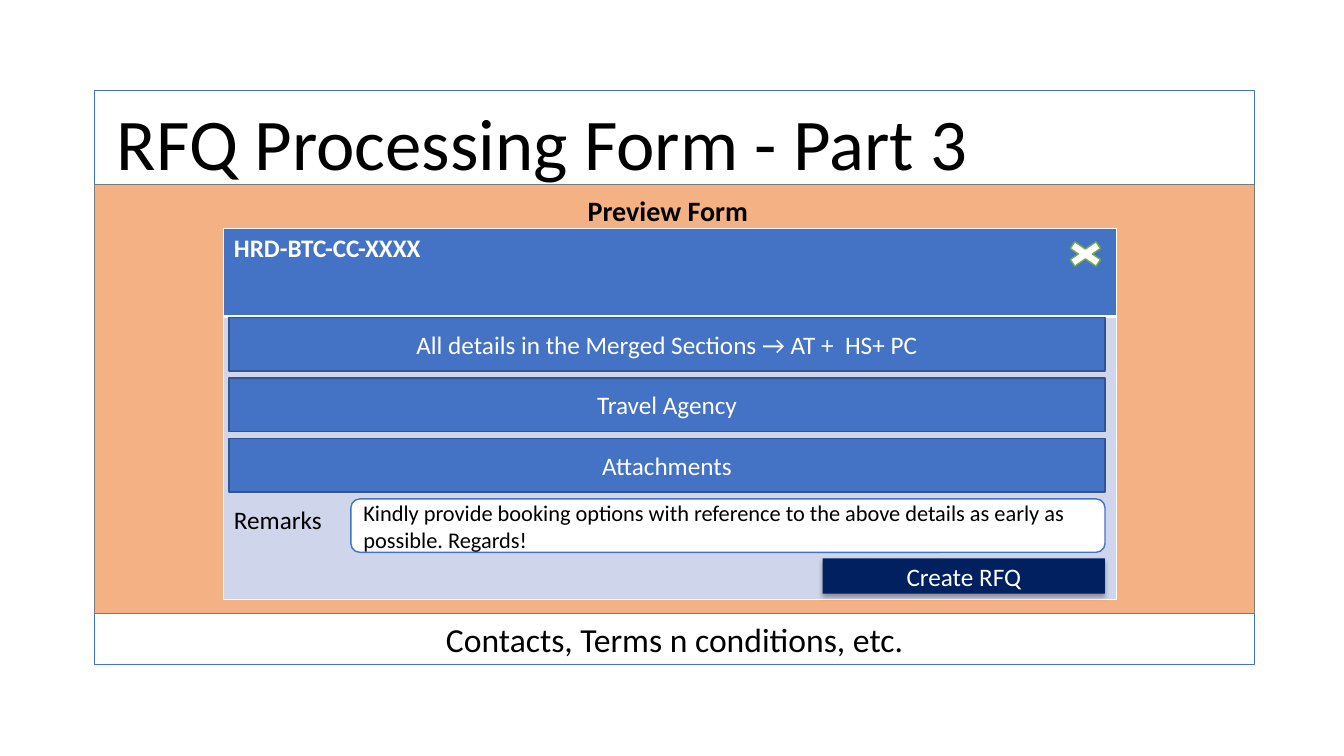
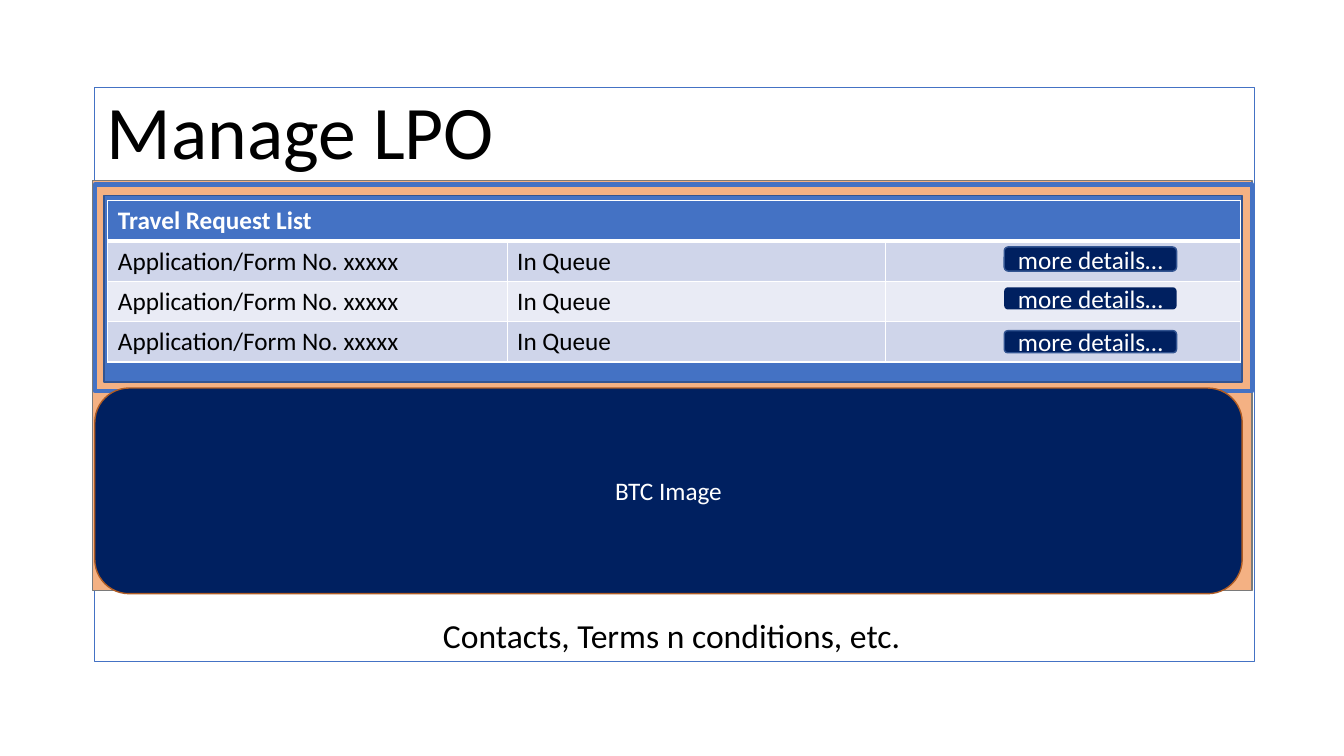
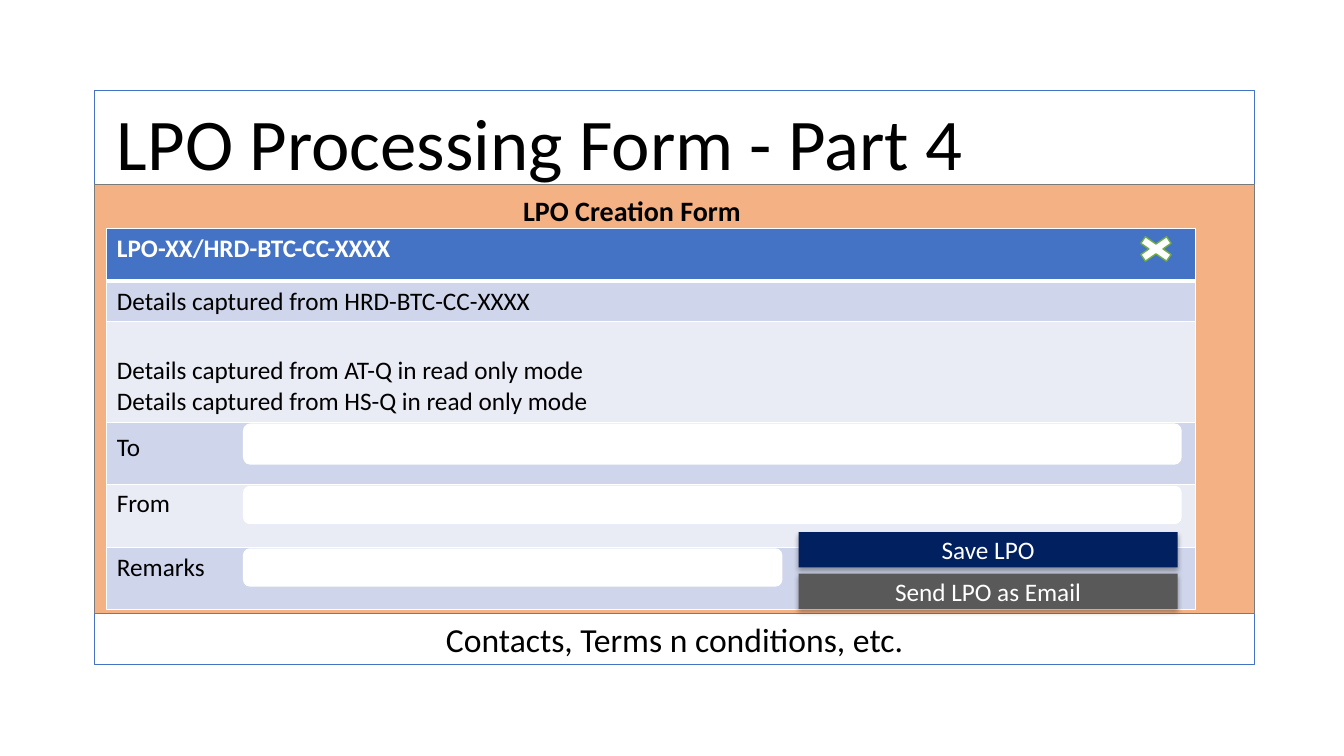
import pptx
import pptx.dml.color
import pptx.enum.shapes
import pptx.enum.text
import pptx.oxml.ns
import pptx.util
from lxml import etree

Inches = pptx.util.Inches
Pt = pptx.util.Pt
SHAPE = pptx.enum.shapes.MSO_SHAPE
ALIGN = pptx.enum.text.PP_ALIGN
ANCHOR = pptx.enum.text.MSO_ANCHOR
qn = pptx.oxml.ns.qn

FONT = "Calibri"
WHITE, BLACK = "FFFFFF", "000000"
BLUE, BLUE_EDGE, NAVY = "4472C4", "325491", "002060"
ORANGE, ORANGE_EDGE, BROWN = "F4B183", "7A7A7A", "AF5C24"
GREEN, GREY = "70AD47", "595959"
BANDS = ("CFD5EA", "E9EBF5")
FOOTER = "Contacts, Terms n conditions, etc."


def rgb(color):
    return pptx.dml.color.RGBColor.from_string(color)


def place(box):
    return [Inches(length) for length in box]


def write(frame, lines, size=18, color=BLACK, bold=False, align=ALIGN.LEFT):
    """Fill a text frame with one paragraph per line."""
    for index, line in enumerate(lines):
        paragraph = frame.paragraphs[0] if index == 0 else frame.add_paragraph()
        paragraph.alignment = align
        run = paragraph.add_run()
        run.text = line
        run.font.name = FONT
        run.font.size = Pt(size)
        run.font.bold = bold
        run.font.color.rgb = rgb(color)


def add_label(slide, box, text, **style):
    frame = slide.shapes.add_textbox(*place(box)).text_frame
    frame.word_wrap = True
    write(frame, [text], **style)


def add_block(slide, box, fill=None, line=None, weight=1, kind=SHAPE.RECTANGLE,
              text=None, size=18, color=WHITE, align=ALIGN.CENTER):
    block = slide.shapes.add_shape(kind, *place(box))
    block.shadow.inherit = False
    if fill:
        block.fill.solid()
        block.fill.fore_color.rgb = rgb(fill)
    else:
        block.fill.background()
    if line:
        block.line.color.rgb = rgb(line)
        block.line.width = Pt(weight)
    else:
        block.line.fill.background()
    if text:
        block.text_frame.vertical_anchor = ANCHOR.MIDDLE
        block.text_frame.word_wrap = True
        write(block.text_frame, [text], size, color, align=align)
    return block


def add_action(slide, box, text, fill=NAVY):
    """Square button with a soft shadow below it."""
    button = add_block(slide, box, fill, text=text)
    effects = button.element.spPr.find(qn("a:effectLst"))
    shadow = etree.SubElement(effects, qn("a:outerShdw"), blurRad=str(Pt(3.5)),
                              dist=str(Pt(2.2)), dir="5400000", rotWithShape="0")
    tint = etree.SubElement(shadow, qn("a:srgbClr"), val=BLACK)
    etree.SubElement(tint, qn("a:alpha"), val="32000")


def add_close_mark(slide, left, top):
    add_block(slide, (left, top, 0.49, 0.34), WHITE, GREEN, kind=SHAPE.MATH_MULTIPLY)


def set_borders(cell, bottom):
    properties = cell._tc.get_or_add_tcPr()
    weights = {"a:lnL": 1, "a:lnR": 1, "a:lnT": 1, "a:lnB": bottom}
    for index, (tag, weight) in enumerate(weights.items()):
        edge = etree.Element(qn(tag), w=str(Pt(weight)))
        fill = etree.SubElement(edge, qn("a:solidFill"))
        etree.SubElement(fill, qn("a:srgbClr"), val=WHITE)
        properties.insert(index, edge)


def add_grid(slide, left, top, widths, heights, rows):
    """Banded table with a blue header; each cell is a list of lines."""
    box = (left, top, sum(widths), sum(heights))
    table = slide.shapes.add_table(len(heights), len(widths), *place(box)).table
    for column, width in zip(table.columns, widths):
        column.width = Inches(width)
    for r, (row, height) in enumerate(zip(table.rows, heights)):
        row.height = Inches(height)
        for cell, lines in zip(row.cells, rows[r]):
            header = r == 0
            cell.fill.solid()
            cell.fill.fore_color.rgb = rgb(BLUE if header else BANDS[(r - 1) % 2])
            set_borders(cell, 3 if header else 1)
            if lines:
                write(cell.text_frame, lines, 18, WHITE if header else BLACK, header)
            else:
                cell.text_frame.paragraphs[0].font.size = Pt(18)
    return table


def add_page(prs, title, title_box, panel, body, footer_box, title_size=52):
    """Page frame: outlined panel, orange body, title and footer line."""
    slide = prs.slides.add_slide(prs.slide_layouts[5])
    add_block(slide, panel, WHITE, BLUE)
    add_block(slide, body, ORANGE, ORANGE_EDGE)
    heading = slide.shapes.title
    heading.left, heading.top, heading.width, heading.height = place(title_box)
    frame = heading.text_frame
    frame.auto_size = pptx.enum.text.MSO_AUTO_SIZE.NONE
    frame.vertical_anchor = ANCHOR.TOP
    write(frame, [title], title_size)
    # Keep the title in front of the panel
    heading.element.getparent().append(heading.element)
    add_label(slide, footer_box, FOOTER, size=24, align=ALIGN.CENTER)
    return slide


def add_form_page(prs, title, form_name, name_left, name_width):
    slide = add_page(prs, title, (1.06, 0.92, 11.12, 0.98), (0.94, 0.9, 11.5, 5.69),
                     (0.94, 1.83, 11.5, 4.26), (0.93, 6.09, 11.52, 0.5))
    add_label(slide, (name_left, 1.87, name_width, 0.44), form_name, size=20, bold=True)
    return slide


def preview_form(slide, left, top, width):
    table = add_grid(slide, left, top, [width], [0.87, 2.81],
                     [[["HRD-BTC-CC-XXXX"]], [["Remarks"]]])
    table.cell(1, 0).margin_top = Inches(1.88)
    add_close_mark(slide, left + width - 0.55, top + 0.08)
    # Stacked sections
    inner, right = left + 0.05, left + width - 0.11
    sections = ("All details in the Merged Sections → AT +  HS+ PC",
                "Travel Agency", "Attachments")
    for index, section in enumerate(sections):
        add_block(slide, (inner, top + 0.88 + 0.6 * index, right - inner, 0.53),
                  BLUE, BLUE_EDGE, text=section)
    # Remarks field and button
    add_block(slide, (left + 1.26, top + 2.68, right - left - 1.26, 0.53), WHITE, BLUE,
              kind=SHAPE.ROUNDED_RECTANGLE, size=16, color=BLACK, align=ALIGN.LEFT,
              text="Kindly provide booking options with reference to the above "
                   "details as early as possible. Regards!")
    add_action(slide, (right - 2.8, top + 3.27, 2.8, 0.35), "Create RFQ")


def request_list(slide, left, top, width, height):
    add_block(slide, (left + 0.09, top + 0.11, width - 0.19, height - 0.2),
              BLUE, BLUE_EDGE)
    add_block(slide, (left, top, width, height), line=BLUE, weight=3)
    request = [["Application/Form No. xxxxx"], ["In Queue"], None]
    table = add_grid(slide, left + 0.13, top + 0.16, [3.96, 3.75, 3.52], [0.4] * 4,
                     [[["Travel Request List"], None, None]] + [request] * 3)
    table.cell(0, 0).merge(table.cell(0, 2))
    # One button per request
    for offset, depth, edge in ((0.62, 0.24, BLUE_EDGE), (1.02, 0.22, None),
                                (1.45, 0.22, BLUE_EDGE)):
        add_block(slide, (left + 9.02, top + offset, 1.71, depth), NAVY, edge,
                  kind=SHAPE.ROUNDED_RECTANGLE, text="more details…")


def creation_form(slide, left, top, width):
    field_row = 0.62
    heights = [0.52, 0.4, 1.0] + [field_row] * 3
    table = add_grid(slide, left, top, [width], heights, [
        [["LPO-XX/HRD-BTC-CC-XXXX"]],
        [["Details captured from HRD-BTC-CC-XXXX"]],
        [["Details captured from AT-Q in read only mode",
          "Details captured from HS-Q in read only mode"]],
        [None], [None], [["Remarks"]]])
    table.cell(2, 0).vertical_anchor = ANCHOR.BOTTOM
    add_close_mark(slide, left + width - 0.64, top + 0.03)
    # Entry fields
    fields_top = top + sum(heights[:3])
    for index, (field_width, depth) in enumerate(((9.29, 0.39), (9.29, 0.36), (5.33, 0.36))):
        add_block(slide, (left + 1.36, fields_top + 0.02 + field_row * index,
                          field_width, depth),
                  WHITE, WHITE, 1.5, SHAPE.ROUNDED_RECTANGLE)
    for name, offset in (("To", 0.04), ("From", 0.6)):
        add_label(slide, (left, fields_top + offset, 0.92, 0.4), name)
    # Buttons
    for name, offset, fill in (("Save LPO", 3.01, NAVY), ("Send LPO as Email", 3.42, GREY)):
        add_action(slide, (left + 6.86, top + offset, 3.76, 0.35), name, fill)


def main():
    prs = pptx.Presentation()
    prs.slide_width, prs.slide_height = Inches(13.33), Inches(7.5)

    rfq = add_form_page(prs, "RFQ Processing Form - Part 3", "Preview Form", 5.73, 3.01)
    preview_form(rfq, 2.22, 2.27, 8.85)

    lpo_list = add_page(prs, "Manage LPO", (0.96, 0.78, 4.08, 1.01),
                        (0.94, 0.87, 11.5, 5.69), (0.92, 1.79, 11.5, 4.07),
                        (0.9, 6.05, 11.52, 0.5), title_size=54)
    request_list(lpo_list, 0.94, 1.83, 11.48, 2.05)
    add_block(lpo_list, (0.94, 3.85, 11.38, 2.04), NAVY, BROWN,
              kind=SHAPE.ROUNDED_RECTANGLE, text="BTC Image")

    lpo = add_form_page(prs, "LPO Processing Form - Part 4", "LPO Creation Form", 5.09, 3.65)
    creation_form(lpo, 1.06, 2.27, 10.8)

    prs.save("out.pptx")


if __name__ == "__main__":
    main()
